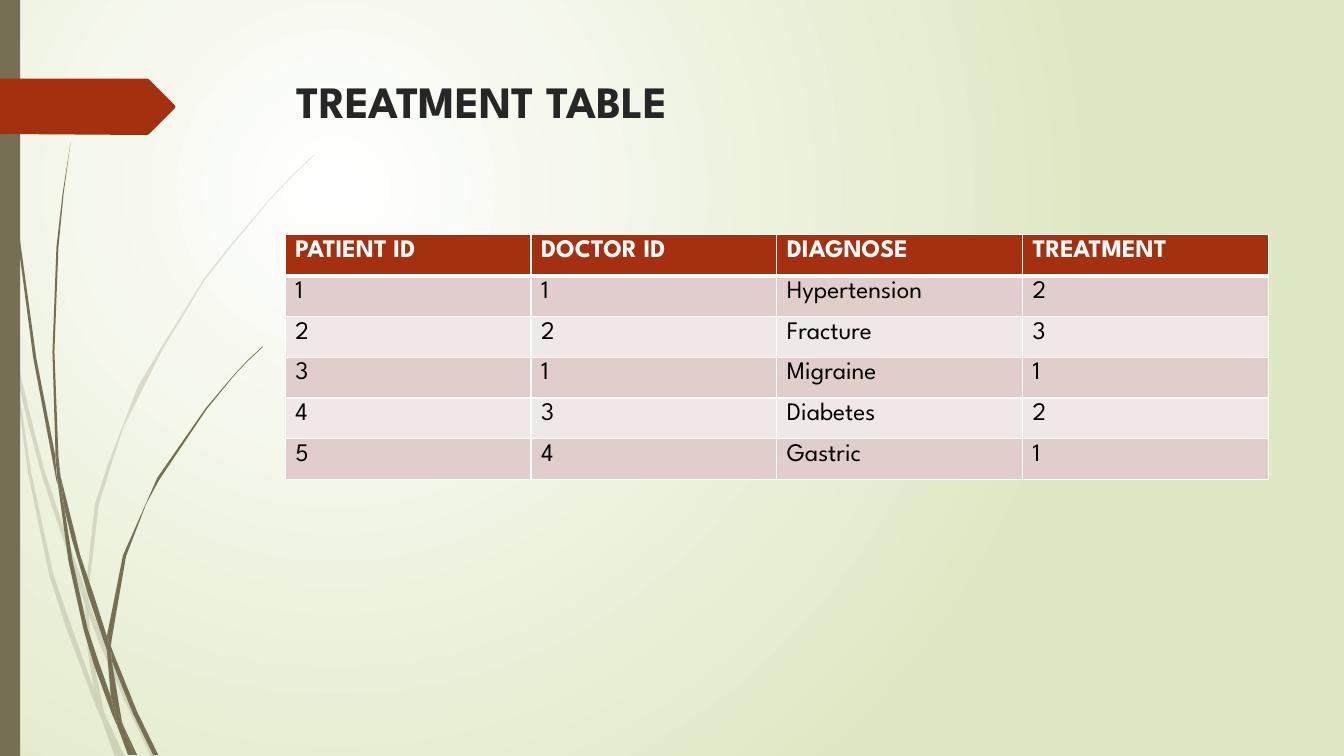
from lxml import etree
from pptx import Presentation
from pptx import util as u
from pptx.dml.color import RGBColor
from pptx.enum import shapes, text
from pptx.oxml import ns

PX = 9144  # EMU in one px: 100 px to the inch
FONT = "League Spartan"
OLIVE, RUST, WHITE = "766F54", "A53010", "FFFFFF"
BANDS = ["E1CDCC", "F0E8E7"]

ROWS = [
    ["PATIENT ID", "DOCTOR ID", "DIAGNOSE", "TREATMENT"],
    ["1", "1", "Hypertension", "2"],
    ["2", "2", "Fracture", "3"],
    ["3", "1", "Migraine", "1"],
    ["4", "3", "Diabetes", "2"],
    ["5", "4", "Gastric", "1"],
]

# Each blade is a closed outline of "x,y" corners
PALE_BLADES = [
    "11,350 9,322 0,282 0,299 10,344",
    "14,345 28,404 43,463 62,520 85,586 84,599 58,522 42,474 29,425 17,376",
    "88,596 92,607 115,664 127,692 155,751 150,751 123,694 99,639 88,610",
    "105,711 124,751 119,751",
    "11,350 17,376 31,469 53,570 70,619 93,683 99,707 101,714 92,693 65,621 49,571 28,470",
    "84,599 87,646 93,683 96,692 105,711 103,706 91,646 88,610 88,608",
    "88,596 88,584 98,501 110,462 123,423 160,349 203,278 229,245 268,198 290,175 312,154"
    " 312,153 289,175 268,197 228,244 202,277 158,348 137,383 107,461 94,501 85,584",
    "101,714 114,751 119,751",
    "85,586 88,596 88,610 88,608 84,599",
    "93,683 96,692 105,711 119,751 101,714 99,707",
]
DARK_BLADES = [
    "3,0 4,48 7,110 12,192 17,233 33,355 56,477 57,481"
    " 55,457 55,453 36,355 19,232 8,109 5,48 4,0",
    "60,472 80,552 93,590 106,631 106,645 88,592 71,534 64,505",
    "110,641 113,649 136,706 157,749 152,749 132,708 111,656",
    "57,477 64,505 72,556 87,624 98,657 110,691 116,717 117,722 111,708 93,659 83,625 68,557",
    "60,472 58,453 54,349 58,245 63,193 70,141 62,193 56,245 52,349 55,449",
    "122,719 136,749 133,749",
    "55,449 60,472 64,505 57,477 55,453",
    "110,641 111,633 125,552 145,500 158,476 205,406 231,374 245,359 261,344"
    " 260,344 245,358 231,373 204,405 156,474 122,551 106,631",
    "117,722 131,749 127,749",
    "106,645 110,691 116,706 122,719 121,716 111,656 109,651",
    "106,631 110,641 111,656 109,651 106,645",
    "110,691 116,706 122,719 133,749 130,749 117,722 116,717",
]
ARROW = "0,78 146,78 148,79 173,104 174,106 173,108 148,133 146,134 0,133"


def rgb(value):
    return RGBColor.from_string(value)


def put(obj, values):
    for name, value in values.items():
        setattr(obj, name, value)


def paint(sp, color, alpha=None):
    sp.fill.solid()
    sp.fill.fore_color.rgb = rgb(color)
    sp.line.fill.background()
    sp.shadow.inherit = False
    if alpha is not None:
        clr = sp._element.spPr.find(".//" + ns.qn("a:srgbClr"))
        etree.SubElement(clr, ns.qn("a:alpha"), val=str(alpha * 1000))


def write(tf, content, color, **style):
    p = tf.paragraphs[0]
    p.alignment = text.PP_ALIGN.LEFT
    r = p.add_run()
    r.text = content
    put(r.font, {"name": FONT, **style})
    r.font.color.rgb = rgb(color)


def outline(parent, corners, color, alpha=None):
    points = [tuple(int(n) * PX for n in corner.split(",")) for corner in corners.split()]
    builder = parent.build_freeform(*points[0])
    builder.add_line_segments(points[1:], close=True)
    paint(builder.convert_to_shape(), color, alpha)


def background(s):
    fill = s.background.fill
    fill.gradient()
    for stop, color in zip(fill.gradient_stops, [WHITE, "DFE8C4"]):
        stop.color.rgb = rgb(color)
    grad = s._element.find(".//" + ns.qn("a:gradFill"))
    for lin in grad.findall(ns.qn("a:lin")):
        grad.remove(lin)
    circle = etree.SubElement(grad, ns.qn("a:path"), path="circle")
    etree.SubElement(circle, ns.qn("a:fillToRect"),
                     l="50000", t="50000", r="100000", b="100000")


def grass(s, blades, alpha=None):
    group = s.shapes.add_group_shape()
    for blade in blades:
        outline(group.shapes, blade, OLIVE, alpha)


def side_bar(s, x, y, w, h):
    bar = s.shapes.add_shape(shapes.MSO_SHAPE.RECTANGLE, x * PX, y * PX, w * PX, h * PX)
    paint(bar, OLIVE)


def title(s, x, y, w, h):
    sp = s.shapes.title
    put(sp, {"left": x * PX, "top": y * PX, "width": w * PX, "height": h * PX})
    put(sp.text_frame, {"word_wrap": True, "auto_size": text.MSO_AUTO_SIZE.NONE,
                        "vertical_anchor": text.MSO_ANCHOR.TOP})
    write(sp.text_frame, "TREATMENT TABLE", "262626", size=u.Pt(32), bold=True)


def border(cell, side, points):
    ln = etree.SubElement(cell._tc.get_or_add_tcPr(), ns.qn("a:ln" + side),
                          w=str(u.Pt(points)))
    fill = etree.SubElement(ln, ns.qn("a:solidFill"))
    etree.SubElement(fill, ns.qn("a:srgbClr"), val=WHITE)


def treatment_table(s, x, y, w, h):
    table = s.shapes.add_table(len(ROWS), len(ROWS[0]),
                               x * PX, y * PX, w * PX, h * PX).table
    for i, row in enumerate(ROWS):
        header = i == 0
        for j, content in enumerate(row):
            cell = table.cell(i, j)
            for side in "LRTB":
                heavy = (side == "B" and header) or (side == "T" and i == 1)
                border(cell, side, 3 if heavy else 1)
            cell.fill.solid()
            cell.fill.fore_color.rgb = rgb(RUST if header else BANDS[(i - 1) % 2])
            write(cell.text_frame, content, WHITE if header else "000000",
                  size=u.Pt(18), bold=header)


def treatment_slide(prs):
    s = prs.slides.add_slide(prs.slide_layouts[5])
    background(s)
    # Decoration on the left
    grass(s, PALE_BLADES, alpha=20)
    grass(s, DARK_BLADES)
    side_bar(s, 0, 0, 20, 750)
    outline(s.shapes, ARROW, RUST)
    # Content
    title(s, 284, 68, 975, 140)
    treatment_table(s, 283, 233, 975, 243)


def main():
    prs = Presentation()
    put(prs, {"slide_width": 1333 * PX, "slide_height": 750 * PX})
    treatment_slide(prs)
    prs.save("out.pptx")


if __name__ == "__main__":
    main()
